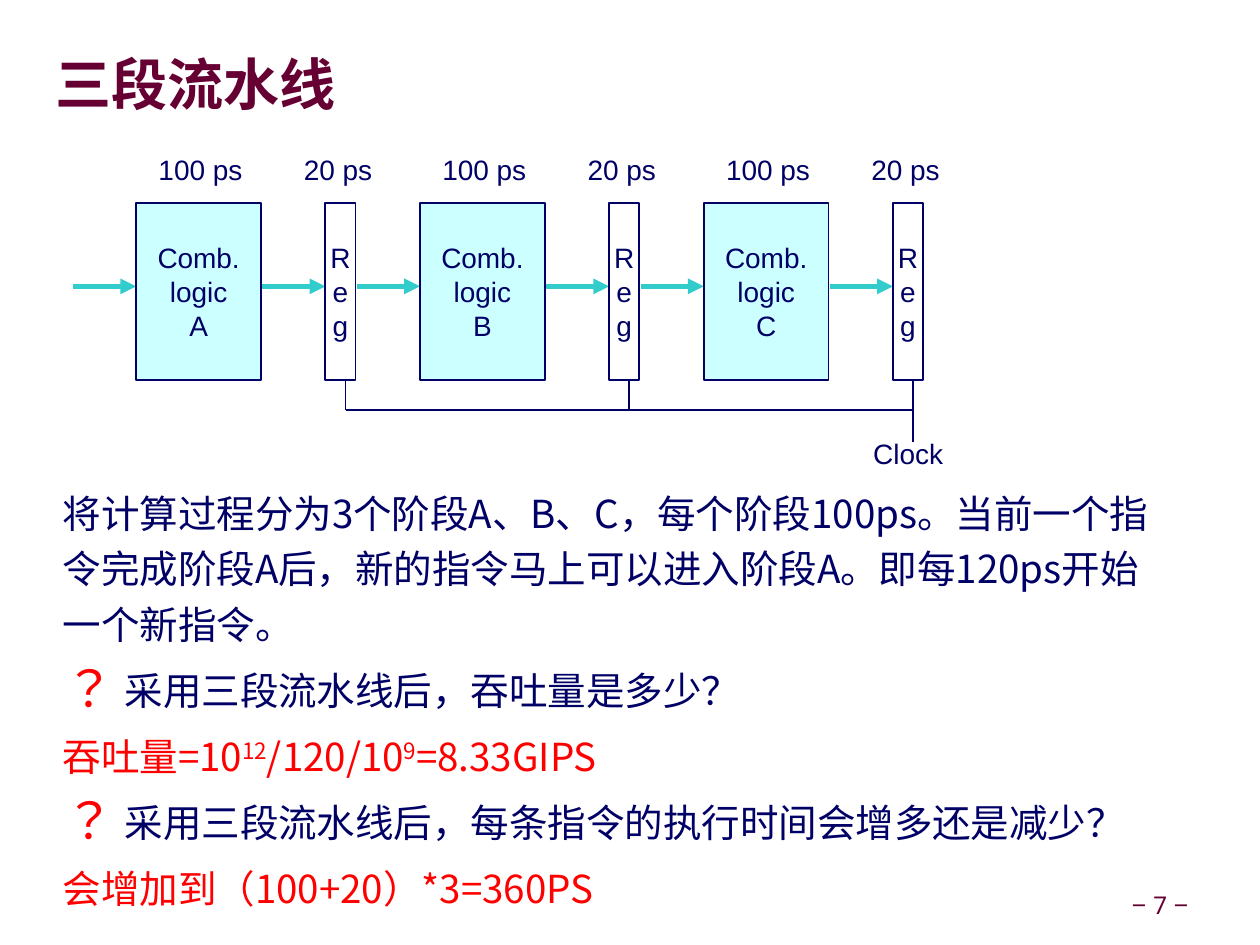
from dataclasses import dataclass

from lxml.etree import SubElement
from pptx import Presentation
from pptx.dml.color import RGBColor
from pptx.enum.shapes import MSO_CONNECTOR, MSO_SHAPE
from pptx.enum.text import MSO_ANCHOR, PP_ALIGN
from pptx.oxml.ns import qn
from pptx.util import Inches, Pt


@dataclass(frozen=True)
class Theme:
    """Colours, fonts and type sizes of the slide."""
    navy: str = "000066"
    maroon: str = "660033"
    red: str = "FF0000"
    teal: str = "33CCCC"
    cyan: str = "CCFFFF"
    white: str = "FFFFFF"
    diagram_font: str = "Arial"
    page_font: str = "Roboto"
    chinese_font: str = "Noto Sans CJK SC"
    title_size: int = 32
    body_size: int = 22
    label_size: int = 16
    page_size: int = 14


THEME = Theme()
STAGES = "ABC"
STAGE_LEFT, STAGE_STEP = 1.08, 2.25
BOX_TOP, BOX_H = 1.61, 1.4
LOGIC_W, REG_W, ARROW_W = 0.99, 0.24, 0.5
REG_OFFSET, CLOCK_OFFSET = 1.5, 1.66
ARROW_Y, CLOCK_Y = 2.27, 3.25

BODY = [
    ("将计算过程分为3个阶段A、B、C，每个阶段100ps。当前一个指令完成阶段A后，"
     "新的指令马上可以进入阶段A。即每120ps开始一个新指令。", THEME.navy, False),
    ("采用三段流水线后，吞吐量是多少？", THEME.navy, True),
    ("吞吐量=10^12^/120/10^9^=8.33GIPS", THEME.red, False),
    ("采用三段流水线后，每条指令的执行时间会增多还是减少？", THEME.navy, True),
    ("会增加到（100+20）*3=360PS", THEME.red, False),
]


def add_text(p, text, size=THEME.label_size, color=THEME.navy,
             font=THEME.diagram_font, bold=False, align=PP_ALIGN.LEFT,
             spacing=None, before=0):
    """Write text in a paragraph, raising the parts between carets."""
    p.alignment, p.space_before = align, Pt(before)
    if spacing:
        p.line_spacing = spacing
    for i, part in enumerate(text.split("^")):
        r = p.add_run()
        r.text = part
        r.font.size, r.font.bold, r.font.name = Pt(size), bold, font
        r.font.color.rgb = RGBColor.from_string(color)
        rpr = r.font._element
        SubElement(rpr, qn("a:ea"), typeface=THEME.chinese_font)
        if i % 2:
            rpr.set("baseline", "30000")


def set_indent(p, left, first=0, bullet=None):
    """Indent a paragraph and give it an optional red bullet."""
    ppr = p._p.get_or_add_pPr()
    ppr.set("marL", str(Inches(left)))
    ppr.set("indent", str(Inches(first)))
    if bullet:
        color = SubElement(ppr, qn("a:buClr"))
        SubElement(color, qn("a:srgbClr"), val=THEME.red)
        SubElement(ppr, qn("a:buSzPct"), val="130000")
        SubElement(ppr, qn("a:buFont"), typeface=THEME.diagram_font)
        SubElement(ppr, qn("a:buChar"), char=bullet)


def add_textbox(s, x, y, w, h, wrap=True, anchor=MSO_ANCHOR.TOP, margin=None):
    """Add an empty text box and return its text frame."""
    tf = s.shapes.add_textbox(Inches(x), Inches(y), Inches(w), Inches(h)).text_frame
    tf.word_wrap, tf.vertical_anchor = wrap, anchor
    if margin is not None:
        tf.margin_left = tf.margin_right = Inches(margin)
        tf.margin_top = tf.margin_bottom = Inches(margin)
    return tf


def add_label(s, text, center, y, w):
    """Add a centred diagram label."""
    tf = add_textbox(s, center - w / 2, y, w, 0.36, wrap=False, margin=0.05)
    add_text(tf.paragraphs[0], text, align=PP_ALIGN.CENTER)


def add_block(s, x, w, lines, fill):
    """Add an outlined rectangle with one paragraph per line."""
    sp = s.shapes.add_shape(MSO_SHAPE.RECTANGLE, Inches(x), Inches(BOX_TOP),
                            Inches(w), Inches(BOX_H))
    sp.shadow.inherit = False
    sp.fill.solid()
    sp.fill.fore_color.rgb = RGBColor.from_string(fill)
    sp.line.color.rgb = RGBColor.from_string(THEME.navy)
    sp.line.width = Pt(1)
    tf = sp.text_frame
    tf.word_wrap, tf.vertical_anchor = False, MSO_ANCHOR.MIDDLE
    for i, line in enumerate(lines):
        p = tf.add_paragraph() if i else tf.paragraphs[0]
        add_text(p, line, align=PP_ALIGN.CENTER)


def add_line(s, x1, y1, x2, y2, color=THEME.navy, width=1, arrow=False):
    """Add a straight line with an optional arrowhead."""
    c = s.shapes.add_connector(MSO_CONNECTOR.STRAIGHT, Inches(x1), Inches(y1),
                               Inches(x2), Inches(y2))
    c.line.color.rgb = RGBColor.from_string(color)
    c.line.width = Pt(width)
    if arrow:
        SubElement(c.line._get_or_add_ln(), qn("a:tailEnd"), type="triangle")
    SubElement(c._element.spPr, qn("a:effectLst"))


def add_stage(s, x, name, clock_end):
    """Add one pipeline stage: logic, register, arrows, times and clock tap."""
    reg_x = x + REG_OFFSET
    for target in (x, reg_x):
        add_line(s, target - ARROW_W, ARROW_Y, target, ARROW_Y,
                 color=THEME.teal, width=3, arrow=True)
    add_block(s, x, LOGIC_W, ("Comb.", "logic", name), THEME.cyan)
    add_block(s, reg_x, REG_W, "Reg", THEME.white)
    add_label(s, "100 ps", x + 0.51, 1.16, 0.86)
    add_label(s, "20 ps", x + 1.6, 1.16, 0.74)
    add_line(s, x + CLOCK_OFFSET, BOX_TOP + BOX_H, x + CLOCK_OFFSET, clock_end)


def add_pipeline(s):
    """Add the three stages and the clock line they share."""
    lefts = [STAGE_LEFT + i * STAGE_STEP for i in range(len(STAGES))]
    for x, name in zip(lefts, STAGES):
        add_stage(s, x, name, 3.5 if x == lefts[-1] else CLOCK_Y)
    add_line(s, lefts[0] + CLOCK_OFFSET, CLOCK_Y, lefts[-1] + CLOCK_OFFSET, CLOCK_Y)
    add_label(s, "Clock", 7.2, 3.41, 0.75)


def add_body(s):
    """Add the explanation, questions and answers."""
    tf = add_textbox(s, 0.3, 3.76, 9.07, 3.12)
    for i, (text, color, question) in enumerate(BODY):
        p = tf.add_paragraph() if i else tf.paragraphs[0]
        add_text(p, text, size=THEME.body_size, color=color,
                 font=THEME.chinese_font, spacing=1.2, before=6)
        if question:
            set_indent(p, 0.59, -0.48, bullet="？")
        else:
            set_indent(p, 0.1)


def main():
    """Build and save the slide."""
    prs = Presentation()
    prs.slide_width, prs.slide_height = Inches(9.99), Inches(7.49)
    s = prs.slides.add_slide(prs.slide_layouts[6])
    title = add_textbox(s, 0.44, 0.27, 9.22, 0.85, anchor=MSO_ANCHOR.MIDDLE, margin=0)
    add_text(title.paragraphs[0], "三段流水线", size=THEME.title_size, spacing=0.87,
             color=THEME.maroon, font=THEME.chinese_font, bold=True)
    add_body(s)
    add_pipeline(s)
    page = add_textbox(s, 8.87, 7.03, 0.66, 0.31, wrap=False,
                       anchor=MSO_ANCHOR.MIDDLE, margin=0.05)
    add_text(page.paragraphs[0], "– 7 –", size=THEME.page_size, color=THEME.maroon,
             font=THEME.page_font, align=PP_ALIGN.CENTER, spacing=0.9)
    prs.save("out.pptx")


if __name__ == "__main__":
    main()
